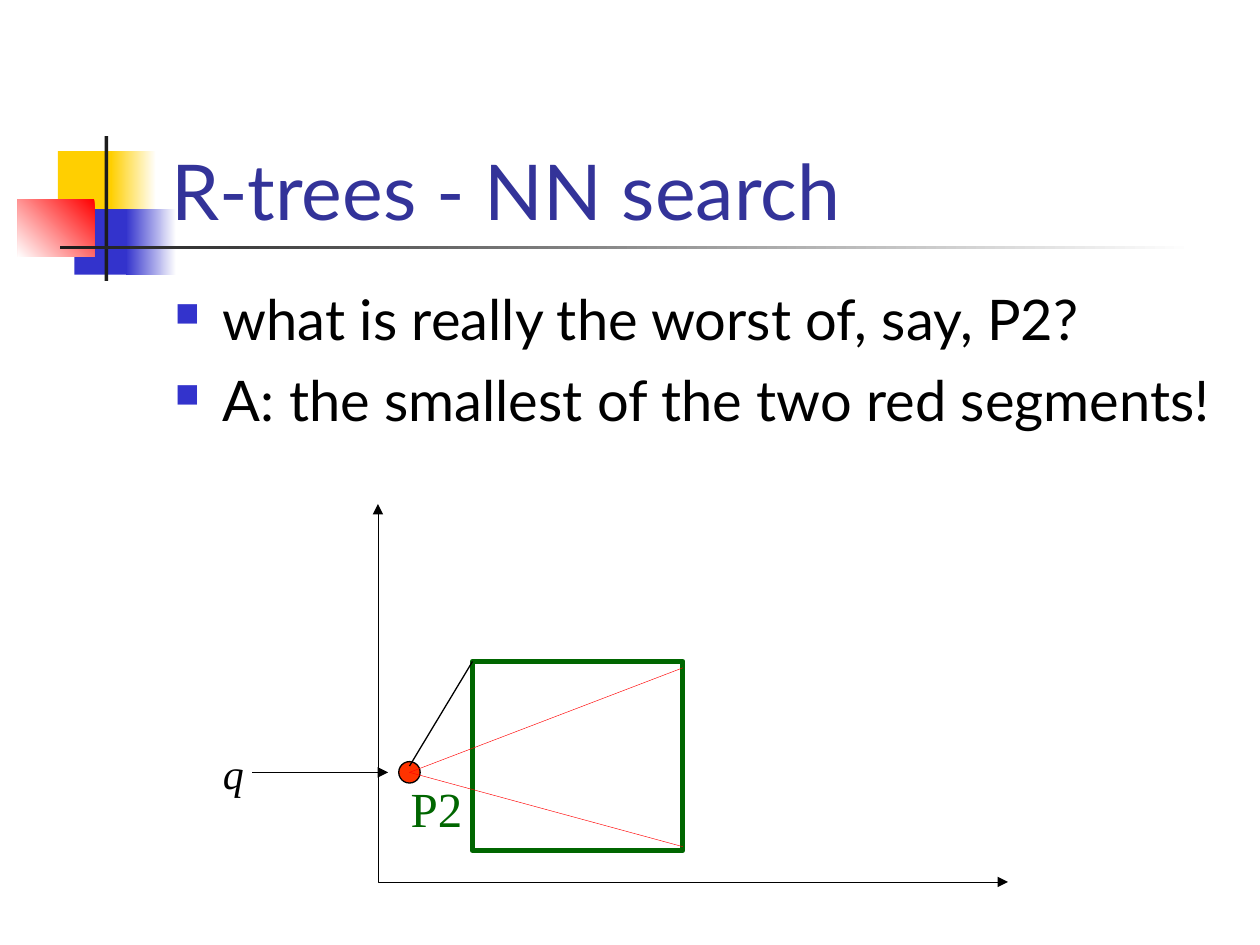
from pptx import Presentation
from pptx.util import Inches, Pt
from pptx.dml.color import RGBColor
from pptx.enum.shapes import MSO_SHAPE as Kind, MSO_CONNECTOR as Link
from pptx.enum.text import MSO_ANCHOR as Anchor, PP_ALIGN as Align
from pptx.oxml.ns import qn
from lxml.etree import SubElement as Sub

W, H = 10, 7.5

# Content
TITLE = "R-trees - NN search"
POINTS = ["what is really the worst of, say, P2?",
          "A: the smallest of the two red segments!"]

# Decoration: box, then one colour, or (first, last, clockwise angle)
DECOR = [
    ((0.46, 1.2, 0.48, 0.52), "FFCF01"),
    ((0.88, 1.2, 0.36, 0.52), ("FFFFFF", "FFCF01", 180)),
    ((0.59, 1.66, 0.46, 0.52), "3333CC"),
    ((1, 1.66, 0.4, 0.52), ("FFFFFF", "3333CC", 180)),
    ((0.14, 1.58, 0.61, 0.46), ("FF0000", "FFFFFF", 135)),
    ((0.83, 1.08, 0.03, 1.15), "1C1C1C"),
    ((0.48, 1.95, 0.9 * W, 0.03), ("FFFFFF", "1C1C1C", 180)),
]

# Diagram: page rectangle P2, query point q and the axes
LEFT, TOP, WIDE, HIGH = 3.75, 5.25, 1.67, 1.5
RIGHT, BASE = LEFT + WIDE, TOP + HIGH
QX, QY, DOT = 3.25, 6.13, 0.17
AXES = [(2.58, 4.17), (2.58, 7.08), (7.58, 7.08)]
LINES = [  # start, end, colour, width, arrow
    ((2, QY), (QX - DOT, QY), "000000", 0.75, True),
    ((QX, QY), (RIGHT, TOP + 0.05), "FF0000", 0.25, False),
    ((QX, QY), (RIGHT, BASE - 0.03), "FF0000", 0.25, False),
    ((QX, QY - 0.05), (LEFT, TOP), "000000", 0.75, False),
]

deck = Presentation()
deck.slide_width, deck.slide_height = Inches(W), Inches(H)
slide = deck.slides.add_slide(deck.slide_layouts[6])
parts = slide.shapes


def rgb(code):
    return RGBColor.from_string(code)


def paint(shape, fill=None, line=None, width=0.75):
    shape.shadow.inherit = False
    if fill is None:
        shape.fill.background()
    elif isinstance(fill, str):
        shape.fill.solid()
        shape.fill.fore_color.rgb = rgb(fill)
    else:
        shape.fill.gradient()
        shape.fill.gradient_angle = 360 - fill[2]
        for stop, code, spot in zip(shape.fill.gradient_stops, fill, (0, 1)):
            stop.color.rgb, stop.position = rgb(code), spot
    if line:
        shape.line.color.rgb, shape.line.width = rgb(line), Pt(width)
    else:
        shape.line.fill.background()


def block(kind, box, **look):
    paint(parts.add_shape(kind, *map(Inches, box)), **look)


def arrow(shape, *ends):
    for end in ends:
        Sub(shape.line._get_or_add_ln(), qn("a:" + end), type="triangle")


def bullet(para):
    props = para._p.get_or_add_pPr()
    props.set("marL", str(Inches(0.38)))
    props.set("indent", str(-Inches(0.38)))
    Sub(Sub(props, qn("a:buClr")), qn("a:srgbClr"), val="3333CC")
    Sub(props, qn("a:buSzPct"), val="60000")
    Sub(props, qn("a:buChar"), char="■")


def write(box, lines, color, font, anchor=Anchor.TOP, wrap=True,
          align=Align.LEFT, marks=False):
    frame = parts.add_textbox(*map(Inches, box)).text_frame
    frame.word_wrap, frame.vertical_anchor = wrap, anchor
    for i, line in enumerate(lines):
        para = frame.paragraphs[0] if i == 0 else frame.add_paragraph()
        para.alignment = align
        if i:
            para.space_before = Pt(8)
        if marks:
            bullet(para)
        run = para.add_run()
        run.text = line
        run.font.color.rgb = rgb(color)
        for key, value in font.items():
            setattr(run.font, key, value)


def face(name, size, **more):
    return {"name": name, "size": Pt(size), **more}


# Decoration and title
for box, fill in DECOR:
    block(Kind.RECTANGLE, box, fill=fill)
write((1.26, 0.67, 8.52, 1.25), [TITLE], "333399", face("Lato", 44),
      anchor=Anchor.BOTTOM)

# Page rectangle and axes
block(Kind.RECTANGLE, (LEFT, TOP, WIDE, HIGH), line="006600", width=3)
pen = parts.build_freeform(*AXES[0], scale=Inches(1))
pen.add_line_segments(AXES[1:], close=False)
axes = pen.convert_to_shape()
paint(axes, line="000000", width=0.25)
arrow(axes, "headEnd", "tailEnd")

# Labels and query point
write((3.16, 6.13, 0.61, 0.57), ["P2"], "006600",
      face("Times New Roman", 28), Anchor.MIDDLE, False, Align.CENTER)
block(Kind.OVAL, (QX - DOT / 2, QY - DOT / 2, DOT, DOT),
      fill="FF3300", line="000000")
write((1.67, 5.88, 0.36, 0.5), ["q"], "000000",
      face("Times New Roman", 24, italic=True), wrap=False)

# Bullets
write((1.29, 2.21, 8.5, 4.5), POINTS, "000000", face("Lato", 32), marks=True)

# Distance lines
for start, end, color, width, tip in LINES:
    link = parts.add_connector(Link.STRAIGHT, *map(Inches, start + end))
    link.line.color.rgb, link.line.width = rgb(color), Pt(width)
    if tip:
        arrow(link, "tailEnd")
    Sub(link._element.spPr, qn("a:effectLst"))

deck.save("out.pptx")
